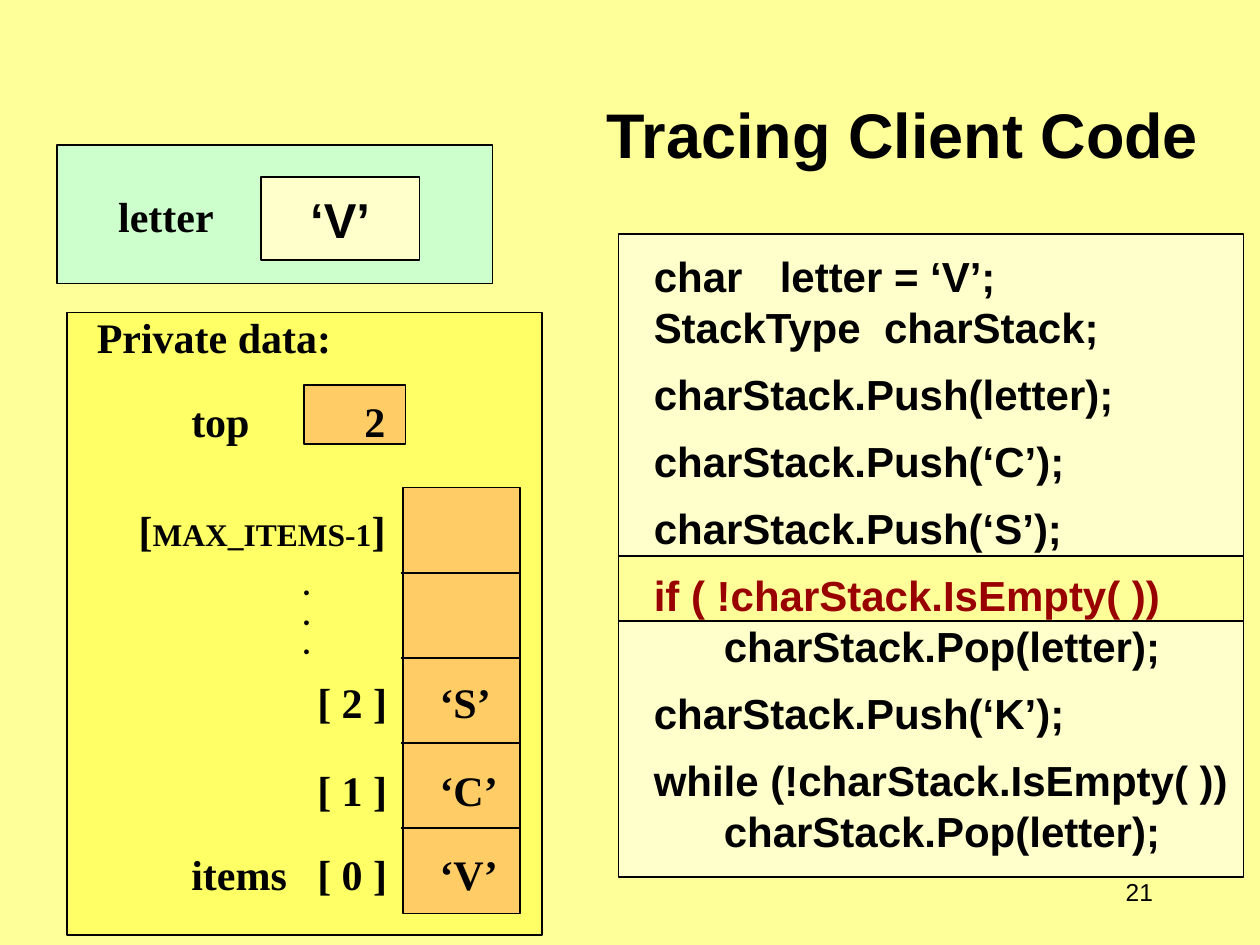
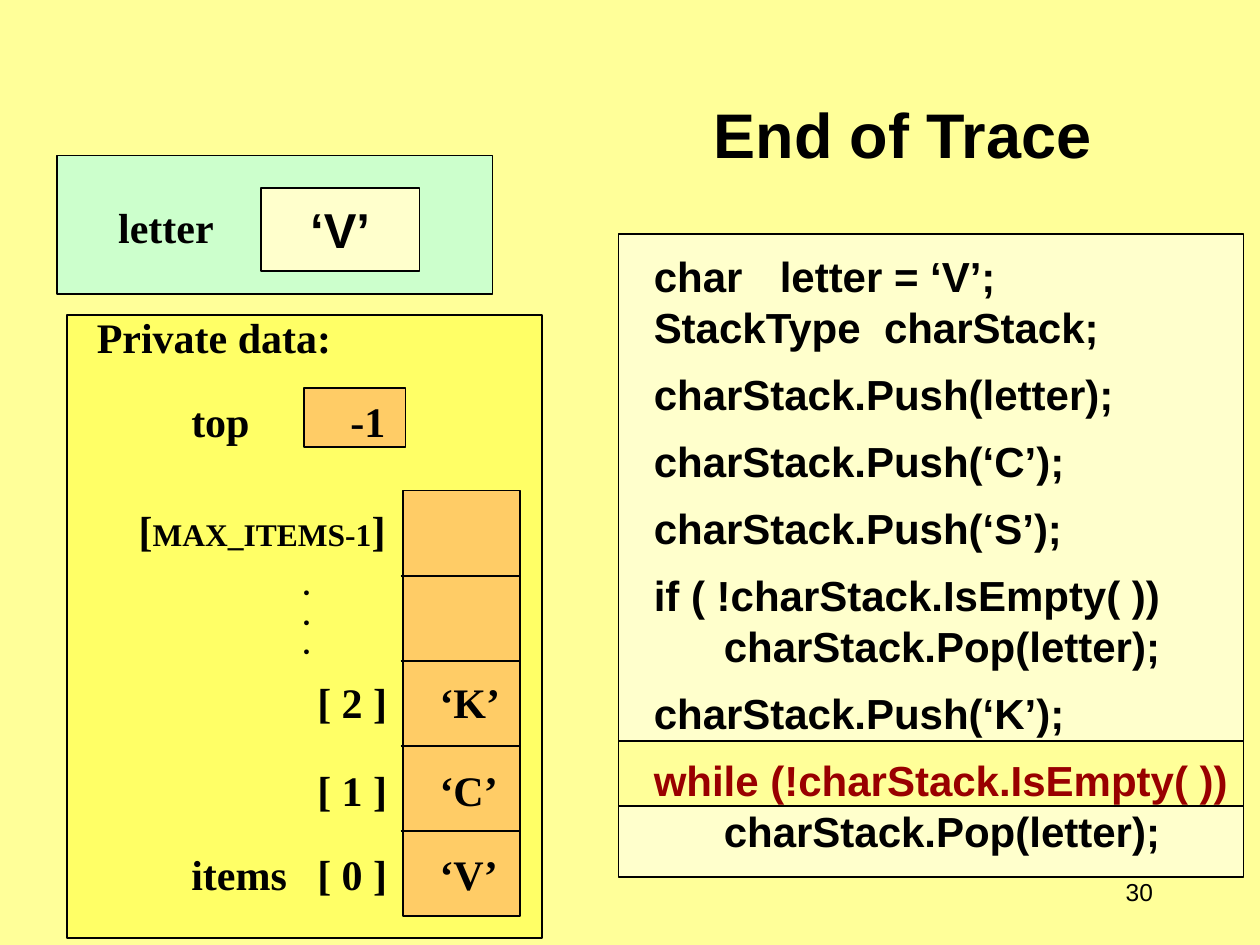
from collections import namedtuple

from lxml import etree
from pptx import Presentation
from pptx.dml.color import RGBColor
from pptx.enum.shapes import MSO_CONNECTOR as Connector, MSO_SHAPE as Preset
from pptx.enum.text import MSO_ANCHOR as Anchor, PP_ALIGN as Align
from pptx.oxml.ns import qn
from pptx.util import Inches, Pt

COLOURS = {
    "page": "FFFF99", "ink": "000000", "accent": "990000", "code": "FFFFCC",
    "private": "FFFF66", "cell": "FFCC66", "client": "CCFFCC",
}
SANS, SERIF, DOTS = "Arial", "Times New Roman", "Montserrat"

# The page is a grid of 100 columns by 75 rows of square units
UNIT = Inches(10) // 100
LEADING = 1.2  # line height as a multiple of the font size
GAP = 9.6      # one small gap between lines, in points

Box = namedtuple("Box", "left top width height")


def inside(box, left, top, width, height):
    """A box placed relative to the corner of another one."""
    return Box(box.left + left, box.top + top, width, height)


def emu(box):
    return [round(length * UNIT) for length in box]


def colour(name):
    return RGBColor.from_string(COLOURS[name])


def add_rect(shapes, box, fill):
    rect = shapes.add_shape(Preset.RECTANGLE, *emu(box))
    rect.shadow.inherit = False
    rect.fill.solid()
    rect.fill.fore_color.rgb = colour(fill)
    rect.line.color.rgb = colour("ink")
    rect.line.width = Pt(1)
    return rect


def add_rule(shapes, left, right, y):
    rule = shapes.add_connector(
        Connector.STRAIGHT, *emu((left, y, right, y)))
    rule.line.color.rgb = colour("ink")
    rule.line.width = Pt(1)
    etree.SubElement(rule._element.spPr, qn("a:effectLst"))


def style(para, font, size, bold=True, ink="ink", align=Align.LEFT):
    para.alignment = align
    para.font.name = font
    para.font.size = Pt(size)
    para.font.bold = bold
    para.font.color.rgb = colour(ink)


def set_tabs(para, stops):
    """Stops are (grid units, alignment) pairs."""
    tabs = etree.Element(qn("a:tabLst"))
    for place, align in stops:
        etree.SubElement(tabs, qn("a:tab"),
                         pos=str(round(place * UNIT)), algn=align)
    para._p.get_or_add_pPr().find(qn("a:defRPr")).addprevious(tabs)


def add_frame(page, box, wrap=True, anchor=Anchor.TOP):
    frame = page.shapes.add_textbox(*emu(box)).text_frame
    frame.word_wrap = wrap
    frame.vertical_anchor = anchor
    return frame


def add_line(frame, index, spans, font, size, before=0, stops=(), **look):
    """One line of a listing; spans are (text, size) pairs."""
    para = frame.add_paragraph() if index else frame.paragraphs[0]
    style(para, font, size, **look)
    para.line_spacing = Pt(size * LEADING)
    para.space_before = Pt(before)
    if stops:
        set_tabs(para, stops)
    for text, span_size in spans:
        span = para.add_run()
        span.text = text
        if span_size != size:
            span.font.size = Pt(span_size)


def add_title(page, box, text):
    para = add_frame(page, box, anchor=Anchor.BOTTOM).paragraphs[0]
    para.text = text
    style(para, SANS, 36, align=Align.CENTER)


def add_number(page, box, number):
    frame = add_frame(page, box, wrap=False, anchor=Anchor.MIDDLE)
    para = frame.paragraphs[0]
    para.text = str(number)
    style(para, SANS, 14, bold=False, align=Align.RIGHT)


# Client code: text, gap before it, tab stop
CODE = [
    ("char\tletter = ‘V’;", 0, 10),
    ("StackType  charStack;", 0, 0),
    ("charStack.Push(letter);", GAP, 0),
    ("charStack.Push(‘C’);", GAP, 0),
    ("charStack.Push(‘S’);", GAP, 0),
    ("if ( !charStack.IsEmpty( ))", GAP, 0),
    ("\tcharStack.Pop(letter);", 0, 5.56),
    ("charStack.Push(‘K’);", GAP, 0),
    ("while (!charStack.IsEmpty( ))", GAP, 0),
    ("\tcharStack.Pop(letter);", 0, 5.56),
]


def add_code(page, box, current, band_top):
    """The listing, with a band behind the line being run."""
    add_rect(page.shapes, box, "code")
    add_rect(page.shapes, inside(box, 0, band_top, box.width, 5.2), "page")
    frame = add_frame(page, inside(box, 1.8, 0.8, 49.1, 49))
    for index, (text, before, stop) in enumerate(CODE):
        add_line(frame, index, [(text, 24)], SANS, 24, before,
                 [(stop, "l")] if stop else (),
                 ink="accent" if index == current else "ink")


def add_client(page, box, value):
    """The client's variable and its value."""
    add_rect(page.shapes, box, "client")
    label = add_frame(page, inside(box, 3.9, 3.15, 9.6, 5), wrap=False)
    label.paragraphs[0].text = "letter"
    style(label.paragraphs[0], SERIF, 24)
    frame = add_rect(page.shapes, inside(box, 16.2, 2.55, 12.6, 6.6),
                     "code").text_frame
    frame.vertical_anchor = Anchor.MIDDLE
    frame.paragraphs[0].text = value
    style(frame.paragraphs[0], SANS, 28, align=Align.CENTER)


def add_stack(page, box, rows=5):
    """A column of equal cells."""
    shapes = page.shapes.add_group_shape().shapes
    add_rect(shapes, box, "cell")
    for row in range(1, rows):
        add_rule(shapes, box.left - 0.2, box.left + box.width,
                 box.top + box.height * row / rows)


def add_private(page, box, text_box, top, items):
    """The private data: top, and the items from [0] up."""
    add_rect(page.shapes, box, "private")
    add_rect(page.shapes, inside(box, 18.8, 5.75, 8.1, 4.7), "cell")
    add_stack(page, inside(box, 26.7, 13.9, 9.3, 33.8))

    label, index, value = (7.5, "l"), (17.5, "l"), (27.2, "l")
    first, second, third = items
    maximum = [("\t[", 24), ("MAX_ITEMS-1", 18), ("]", 24)]
    rows = [
        ([("Private data:", 24)], 0, ()),
        ([(f"\ttop\t{top}", 24)], 2 * GAP, (label, (22.9, "r"))),
        (maximum, 3.5 * GAP, [(3.33, "l")]),
        ([("\t.", 14)], GAP, [(16.4, "l")]),
        ([("\t.", 14)], 0, [(16.4, "l")]),
        ([("\t.", 14)], 0, [(16.4, "l")]),
        ([(f"\t[ 2 ]\t{third}", 24)], GAP, (index, value)),
        ([(f"\t[ 1 ]\t{second}", 24)], 2.25 * GAP, (index, value)),
        ([(f"\titems\t[ 0 ]\t{first}", 24)], 2 * GAP, (label, index, value)),
    ]
    frame = add_frame(page, text_box)
    for number, (spans, before, stops) in enumerate(rows):
        size = spans[0][1]
        dot = size == 14
        add_line(frame, number, spans, DOTS if dot else SERIF, size,
                 before, stops)


def add_trace(deck, title, number, current, band_top, client_top,
              private_top, top, items):
    page = deck.slides.add_slide(deck.slide_layouts[6])
    page.background.fill.solid()
    page.background.fill.fore_color.rgb = colour("page")
    add_number(page, Box(85.8, 68.3, 6.7, 5), number)
    add_code(page, Box(49.1, 18.6, 49.6, 51), current, band_top)
    add_title(page, Box(43.3, 1.6, 56.7, 12.5), title)
    add_private(page, Box(5.3, private_top, 37.7, 49.4),
                Box(6.7, 24.2, 35.7, 47.6), top, items)
    add_client(page, Box(4.5, client_top, 34.6, 11), "‘V’")


deck = Presentation()
deck.slide_width, deck.slide_height = 100 * UNIT, 75 * UNIT

add_trace(deck, "Tracing Client Code", 21, current=5, band_top=25.5,
          client_top=11.5, private_top=24.8,
          top=2, items=("‘V’", "‘C’", "‘S’"))
add_trace(deck, "End of Trace", 30, current=8, band_top=40.2,
          client_top=12.35, private_top=25.03,
          top=-1, items=("‘V’", "‘C’", "‘K’"))

deck.save("out.pptx")
